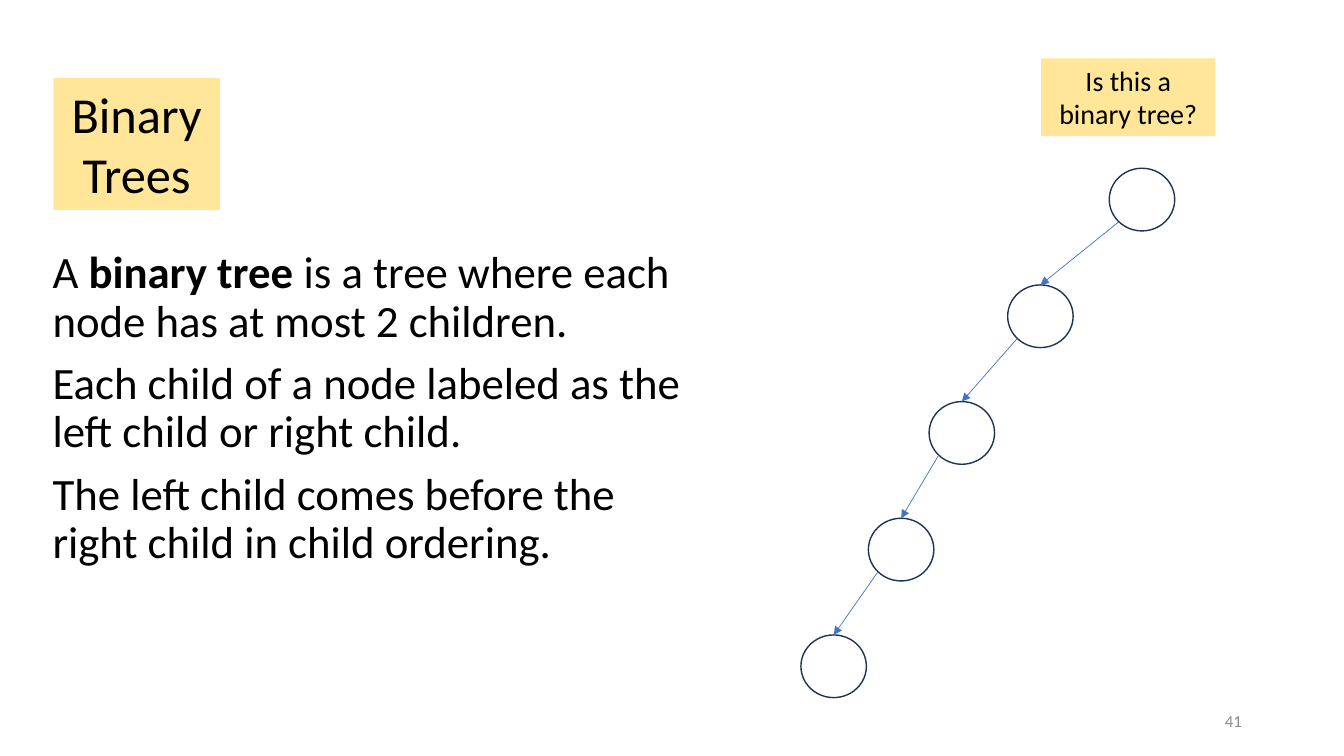
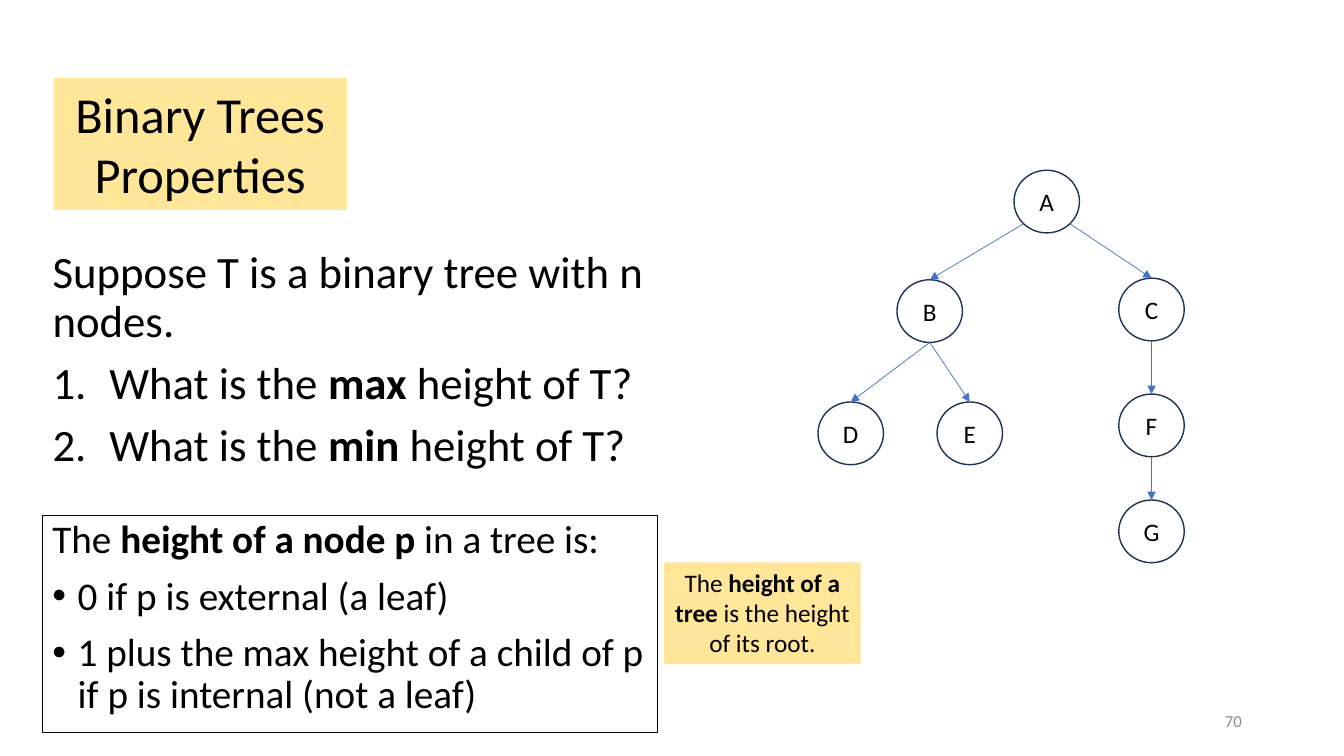
from dataclasses import dataclass
from typing import Optional

from lxml import etree
from pptx import Presentation
from pptx.dml.color import RGBColor
from pptx.enum import shapes, text
from pptx.oxml import ns
from pptx.util import Cm, Pt

BLACK = RGBColor(0x00, 0x00, 0x00)
GRAY = RGBColor(0x8C, 0x8C, 0x8C)
YELLOW = RGBColor(0xFF, 0xE6, 0x99)
NAVY = RGBColor(0x1E, 0x32, 0x56)
BLUE = RGBColor(0x44, 0x72, 0xC4)
FONT = "Calibri"
ALIGN = text.PP_ALIGN
ANCHOR = text.MSO_ANCHOR
SHAPE = shapes.MSO_SHAPE

NODE_W, NODE_H = 1.65, 1.58
# Connection sites of an ellipse
TOP, LOWER_LEFT, BOTTOM, LOWER_RIGHT = 0, 3, 4, 5
DIAGONAL = 0.5 ** 0.5
SITE_OFFSETS = {
    TOP: (0, -1),
    LOWER_LEFT: (-DIAGONAL, DIAGONAL),
    BOTTOM: (0, 1),
    LOWER_RIGHT: (DIAGONAL, DIAGONAL),
}


@dataclass(frozen=True)
class Box:
    left: float
    top: float
    width: float
    height: float

    def lengths(self):
        return Cm(self.left), Cm(self.top), Cm(self.width), Cm(self.height)


@dataclass(frozen=True)
class Para:
    content: str
    bullet: str = ""  # "" for none, "1." for numbering, or the bullet character
    indent: float = 0


@dataclass(frozen=True)
class Node:
    key: str
    x: float
    y: float
    label: str = ""


@dataclass(frozen=True)
class Edge:
    parent: str
    child: str
    site: int


BODY_BOX = Box(1.07, 6.17, 16.74, 9.63)
NUMBER_BOX = Box(23.93, 17.65, 7.62, 1.02)


def set_bullet(p, para: Para) -> None:
    pPr = p._p.get_or_add_pPr()
    pPr.set("marL", str(Cm(para.indent)))
    pPr.set("indent", str(-Cm(para.indent)))
    if not para.bullet:
        etree.SubElement(pPr, ns.qn("a:buNone"))
    elif para.bullet == "1.":
        etree.SubElement(pPr, ns.qn("a:buAutoNum"), type="arabicPeriod")
    else:
        etree.SubElement(pPr, ns.qn("a:buFont"), typeface="Arial")
        etree.SubElement(pPr, ns.qn("a:buChar"), char=para.bullet)


def write(tf, paras: list[Para], *, size: float, color: RGBColor = BLACK,
          align=ALIGN.LEFT, anchor=ANCHOR.TOP, spacing: float = 1,
          before: float = 0) -> None:
    """Fill a text frame; **marks** set bold and a newline breaks the line."""
    tf.word_wrap = True
    tf.auto_size = text.MSO_AUTO_SIZE.NONE
    tf.vertical_anchor = anchor
    for i, para in enumerate(paras):
        p = tf.add_paragraph() if i else tf.paragraphs[0]
        set_bullet(p, para)
        p.alignment = align
        p.line_spacing = spacing
        p.space_before = Pt(before if i else 0)
        for j, part in enumerate(para.content.split("**")):
            for k, line in enumerate(part.split("\n")):
                if k:
                    p.add_line_break()
                if line:
                    r = p.add_run()
                    r.text = line
                    r.font.name, r.font.size = FONT, Pt(size)
                    r.font.bold = j % 2 == 1
                    r.font.color.rgb = color


def place(sp, box: Box) -> None:
    sp.left, sp.top, sp.width, sp.height = box.lengths()


def add_box(s, kind, box: Box, *, fill: Optional[RGBColor] = None,
            line: Optional[RGBColor] = None, weight: float = 1):
    sp = s.shapes.add_shape(kind, *box.lengths())
    sp.shadow.inherit = False
    if fill is None:
        sp.fill.background()
    else:
        sp.fill.solid()
        sp.fill.fore_color.rgb = fill
    if line is None:
        sp.line.fill.background()
    else:
        sp.line.color.rgb = line
        sp.line.width = Pt(weight)
    return sp


def add_note(s, box: Box, content: str, size: float) -> None:
    sp = add_box(s, SHAPE.RECTANGLE, box, fill=YELLOW)
    write(sp.text_frame, [Para(content)], size=size, align=ALIGN.CENTER)


def add_node(s, node: Node):
    box = Box(node.x - NODE_W / 2, node.y - NODE_H / 2, NODE_W, NODE_H)
    sp = add_box(s, SHAPE.OVAL, box, line=NAVY)
    if node.label:
        write(sp.text_frame, [Para(node.label)], size=18,
              align=ALIGN.CENTER, anchor=ANCHOR.MIDDLE)
    return sp


def site_point(node: Node, site: int):
    dx, dy = SITE_OFFSETS[site]
    return Cm(node.x + dx * NODE_W / 2), Cm(node.y + dy * NODE_H / 2)


def add_tree(s, nodes: list[Node], edges: list[Edge]) -> None:
    by_key = {node.key: node for node in nodes}
    ovals = {node.key: add_node(s, node) for node in nodes}
    for edge in edges:
        start = site_point(by_key[edge.parent], edge.site)
        end = site_point(by_key[edge.child], TOP)
        cx = s.shapes.add_connector(shapes.MSO_CONNECTOR.STRAIGHT, *start, *end)
        glue = cx._element.nvCxnSpPr.cNvCxnSpPr.get_or_add_stCxn()
        glue.id, glue.idx = ovals[edge.parent].shape_id, edge.site
        cx.end_connect(ovals[edge.child], TOP)
        cx.line.color.rgb = BLUE
        cx.line.width = Pt(0.5)
        etree.SubElement(cx.line._get_or_add_ln(), ns.qn("a:tailEnd"), type="triangle")
        etree.SubElement(cx._element.spPr, ns.qn("a:effectLst"))


def add_slide(prs, title: str, title_width: float, body: list[Para], number: int):
    """Add a slide with the shared title band, body text and page number."""
    s = prs.slides.add_slide(prs.slide_layouts[1])
    heading, content = s.shapes.title, s.placeholders[1]
    place(heading, Box(1.35, 1.96, title_width, 3.33))
    heading.fill.solid()
    heading.fill.fore_color.rgb = YELLOW
    write(heading.text_frame, [Para(title)], size=36, align=ALIGN.CENTER)
    place(content, BODY_BOX)
    write(content.text_frame, body, size=32, spacing=0.9, before=10)
    tb = s.shapes.add_textbox(*NUMBER_BOX.lengths())
    write(tb.text_frame, [Para(str(number))], size=12, color=GRAY,
          align=ALIGN.RIGHT, anchor=ANCHOR.MIDDLE)
    return s


def build_definition(prs) -> None:
    s = add_slide(prs, "Binary Trees", 4.19, [
        Para("A **binary tree** is a tree where each node has at most 2 children."),
        Para("Each child of a node labeled as the left child or right child."),
        Para("The left child comes before the right child in child ordering."),
    ], 41)
    add_note(s, Box(26.24, 1.47, 4.39, 1.96), "Is this a binary tree?", 20)
    centers = [28.78, 26.22, 24.24, 22.71, 21.01]
    nodes = [Node(str(i), x, 5.03 + 2.94 * i) for i, x in enumerate(centers)]
    edges = [Edge(a.key, b.key, LOWER_LEFT) for a, b in zip(nodes, nodes[1:])]
    add_tree(s, nodes, edges)


def build_properties(prs) -> None:
    s = add_slide(prs, "Binary Trees Properties", 7.39, [
        Para("Suppose T is a binary tree with n nodes."),
        Para("What is the **max** height of T?", "1.", 1.43),
        Para("What is the **min** height of T?", "1.", 1.43),
    ], 70)
    positions = {
        "A": (26.38, 5.08), "B": (23.43, 7.84), "C": (29.02, 7.8),
        "D": (21.44, 10.92), "E": (24.44, 10.92),
        "F": (29.02, 10.72), "G": (29.02, 13.39),
    }
    add_tree(s, [Node(key, x, y, key) for key, (x, y) in positions.items()], [
        Edge("A", "B", LOWER_LEFT), Edge("A", "C", LOWER_RIGHT),
        Edge("B", "D", BOTTOM), Edge("B", "E", BOTTOM),
        Edge("C", "F", BOTTOM), Edge("F", "G", BOTTOM),
    ])
    sp = add_box(s, SHAPE.RECTANGLE, Box(1.07, 12.98, 15.49, 5.49),
                 line=BLACK, weight=0.75)
    write(sp.text_frame, [
        Para("The **height of a node p** in a tree is:"),
        Para("0 if p is external (a leaf)", "•", 0.64),
        Para("1 plus the max height of a child of p\nif p is internal (not a leaf)",
             "•", 0.64),
    ], size=28, spacing=0.9, before=10)
    add_note(s, Box(16.74, 14.17, 4.95, 2.57),
             "The **height of a tree** is the height of its root.", 18)


def main() -> None:
    prs = Presentation()
    prs.slide_width, prs.slide_height = Cm(33.87), Cm(19.05)
    build_definition(prs)
    build_properties(prs)
    prs.save("out.pptx")


if __name__ == "__main__":
    main()
